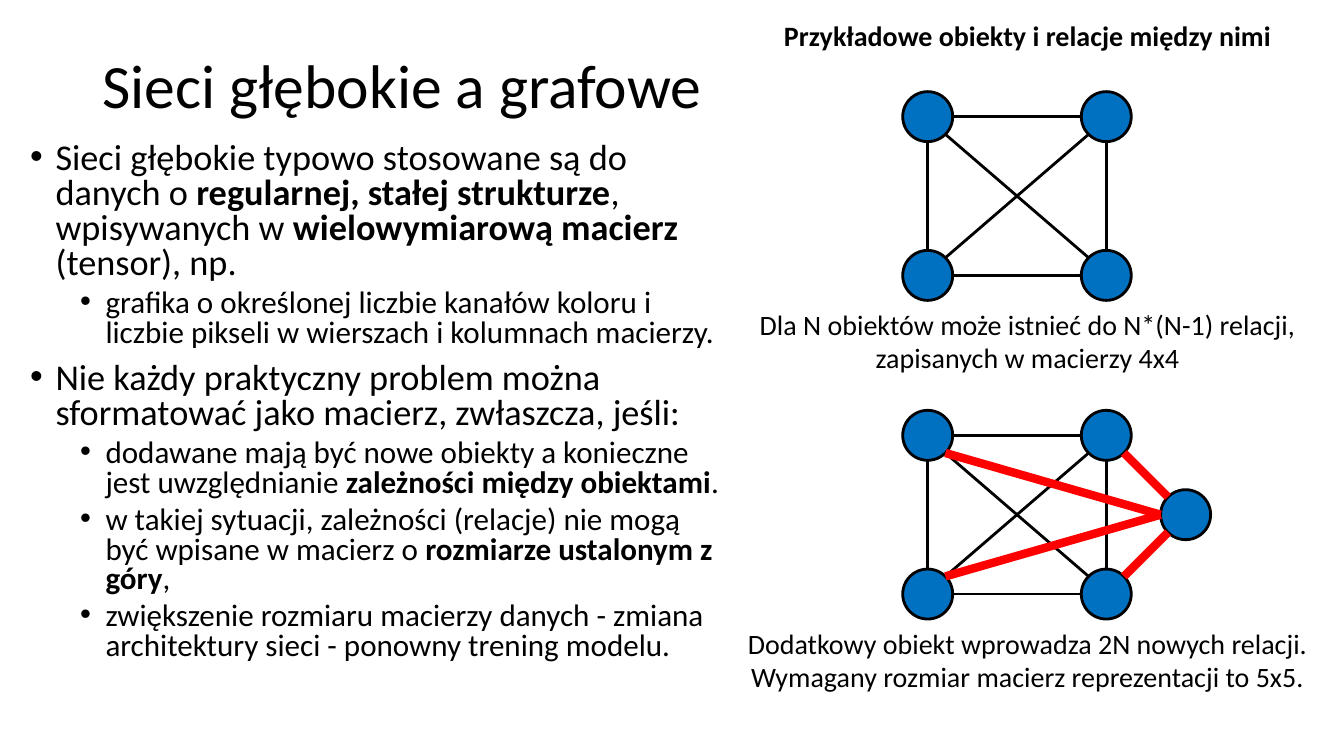
import math

import lxml.etree
import pptx
import pptx.dml.color
import pptx.enum.shapes
import pptx.enum.text
import pptx.oxml.ns
import pptx.util
from pptx.util import Cm

BLACK = pptx.dml.color.RGBColor(0x00, 0x00, 0x00)
NODE_BLUE = pptx.dml.color.RGBColor(0x00, 0x70, 0xC0)
RED = pptx.dml.color.RGBColor(0xFF, 0x00, 0x00)
FONT = "Calibri"
LEFT = pptx.enum.text.PP_ALIGN.LEFT
CENTER = pptx.enum.text.PP_ALIGN.CENTER

NODE_SIZE = Cm(1.26)
COLUMN_STEP = Cm(4.5)
ROW_STEP = Cm(4)

# Directions on a node's rim, in degrees clockwise from the right
EAST, SOUTH_EAST, SOUTH, SOUTH_WEST = 0, 45, 90, 135
WEST, NORTH_WEST, NORTH, NORTH_EAST = 180, 225, 270, 315

SQUARE_EDGES = [
    ("top left", EAST, "top right", WEST),
    ("bottom left", NORTH, "top left", SOUTH),
    ("bottom right", NORTH, "top right", SOUTH),
    ("top left", SOUTH_EAST, "bottom right", NORTH_WEST),
    ("top right", SOUTH_WEST, "bottom left", NORTH_EAST),
    ("bottom left", EAST, "bottom right", WEST),
]
NEW_EDGES = [
    ("extra", NORTH_WEST, "top right", SOUTH_EAST),
    ("extra", WEST, "top left", SOUTH_EAST),
    ("extra", WEST, "bottom left", NORTH_EAST),
    ("extra", SOUTH_WEST, "bottom right", NORTH_EAST),
]

BULLETS = [
    (0, "Sieci głębokie typowo stosowane są do danych o **regularnej, stałej strukturze**, "
        "wpisywanych w **wielowymiarową macierz **(tensor), np."),
    (1, "grafika o określonej liczbie kanałów koloru i liczbie pikseli w wierszach "
        "i kolumnach macierzy."),
    (0, "Nie każdy praktyczny problem można sformatować jako macierz, zwłaszcza, jeśli:"),
    (1, "dodawane mają być nowe obiekty a konieczne jest uwzględnianie "
        "**zależności między obiektami**."),
    (1, "w takiej sytuacji, zależności (relacje) nie mogą być wpisane w macierz o "
        "**rozmiarze ustalonym z góry**,"),
    (1, "zwiększenie rozmiaru macierzy danych - zmiana architektury sieci - "
        "ponowny trening modelu."),
]


def write_text(paragraph, text, size=20, alignment=LEFT, line_spacing=1.0, space_before=0):
    """Fill a paragraph; parts of the text between ** marks are bold."""
    paragraph.alignment = alignment
    paragraph.line_spacing = line_spacing
    paragraph.space_before = pptx.util.Pt(space_before)
    for index, part in enumerate(text.split("**")):
        if part:
            run = paragraph.add_run()
            run.text = part
            run.font.name = FONT
            run.font.size = pptx.util.Pt(size)
            run.font.bold = index % 2 == 1
            run.font.color.rgb = BLACK


def set_bullet(paragraph, margin):
    properties = paragraph._p.get_or_add_pPr()
    properties.set("marL", str(margin))
    properties.set("indent", str(-Cm(0.64)))
    for tag, name, value in (("a:buFont", "typeface", "Arial"), ("a:buChar", "char", "•")):
        element = lxml.etree.SubElement(properties, pptx.oxml.ns.qn(tag))
        element.set(name, value)


def add_title(slide, left, top, width, height):
    title = slide.shapes.title
    title.left, title.top, title.width, title.height = left, top, width, height
    frame = title.text_frame
    frame.vertical_anchor = pptx.enum.text.MSO_ANCHOR.MIDDLE
    write_text(frame.paragraphs[0], "Sieci głębokie a grafowe", size=44, line_spacing=0.9)


def add_bullets(slide, left, top, width, height):
    frame = slide.shapes.add_textbox(left, top, width, height).text_frame
    frame.word_wrap = True
    for index, (level, text) in enumerate(BULLETS):
        paragraph = frame.add_paragraph() if index else frame.paragraphs[0]
        paragraph.level = level
        size, space_before, margin = [(25.9, 10, Cm(0.64)), (22.2, 5, Cm(1.9))][level]
        write_text(paragraph, text, size=size, line_spacing=0.8, space_before=space_before)
        set_bullet(paragraph, margin)


def add_caption(shapes, left, top, width, height, lines):
    frame = shapes.add_textbox(left, top, width, height).text_frame
    frame.word_wrap = True
    frame.auto_size = pptx.enum.text.MSO_AUTO_SIZE.SHAPE_TO_FIT_TEXT
    for index, line in enumerate(lines):
        paragraph = frame.add_paragraph() if index else frame.paragraphs[0]
        write_text(paragraph, line, alignment=CENTER)


def add_node(shapes, left, top):
    node = shapes.add_shape(pptx.enum.shapes.MSO_SHAPE.OVAL, left, top, NODE_SIZE, NODE_SIZE)
    node.shadow.inherit = False
    node.fill.solid()
    node.fill.fore_color.rgb = NODE_BLUE
    node.line.color.rgb = BLACK
    node.line.width = pptx.util.Pt(2)
    return node


def rim_point(node, direction):
    angle, radius = math.radians(direction), NODE_SIZE / 2
    return (round(node.left + radius + radius * math.cos(angle)),
            round(node.top + radius + radius * math.sin(angle)))


def add_edges(shapes, nodes, edges, color, width):
    for start, start_direction, end, end_direction in edges:
        edge = shapes.add_connector(
            pptx.enum.shapes.MSO_CONNECTOR.STRAIGHT,
            *rim_point(nodes[start], start_direction),
            *rim_point(nodes[end], end_direction))
        edge.line.color.rgb = color
        edge.line.width = pptx.util.Pt(width)
        lxml.etree.SubElement(edge._element.spPr, pptx.oxml.ns.qn("a:effectLst"))


def add_graph(slide, left, top, width, caption, with_extra_node=False):
    """Draw four fully linked nodes with a caption below, and optionally a fifth node."""
    shapes = slide.shapes.add_group_shape().shapes
    first_column = left + Cm(4.31)
    nodes = {}
    for row, row_name in enumerate(("top", "bottom")):
        for column, column_name in enumerate(("left", "right")):
            nodes[f"{row_name} {column_name}"] = add_node(
                shapes, first_column + column * COLUMN_STEP, top + row * ROW_STEP)
    add_edges(shapes, nodes, SQUARE_EDGES, BLACK, 2)
    add_caption(shapes, left, top + Cm(5.31), width, Cm(1.96), caption)
    if with_extra_node:
        nodes["extra"] = add_node(
            shapes, first_column + COLUMN_STEP + ROW_STEP // 2, top + ROW_STEP // 2)
        add_edges(shapes, nodes, NEW_EDGES, RED, 6)


def main():
    presentation = pptx.Presentation()
    presentation.slide_width, presentation.slide_height = Cm(33.87), Cm(19.05)
    slide = presentation.slides.add_slide(presentation.slide_layouts.get_by_name("Title Only"))
    add_title(slide, Cm(2.33), Cm(1.01), Cm(29.21), Cm(2.46))
    add_bullets(slide, Cm(0.51), Cm(3.48), Cm(17.93), Cm(13.64))

    graph_left, graph_width = Cm(18.44), Cm(14.91)
    add_caption(slide.shapes, graph_left, Cm(0.33), graph_width, Cm(1.11),
                ["**Przykładowe obiekty i relacje między nimi**"])
    add_graph(slide, graph_left, Cm(2.31), graph_width,
              ["Dla N obiektów może istnieć do N*(N-1) relacji,", "zapisanych w macierzy 4x4"])
    add_graph(slide, graph_left, Cm(10.34), graph_width,
              ["Dodatkowy obiekt wprowadza 2N nowych relacji. "
               "Wymagany rozmiar macierz reprezentacji to 5x5."], with_extra_node=True)
    presentation.save("out.pptx")


if __name__ == "__main__":
    main()
